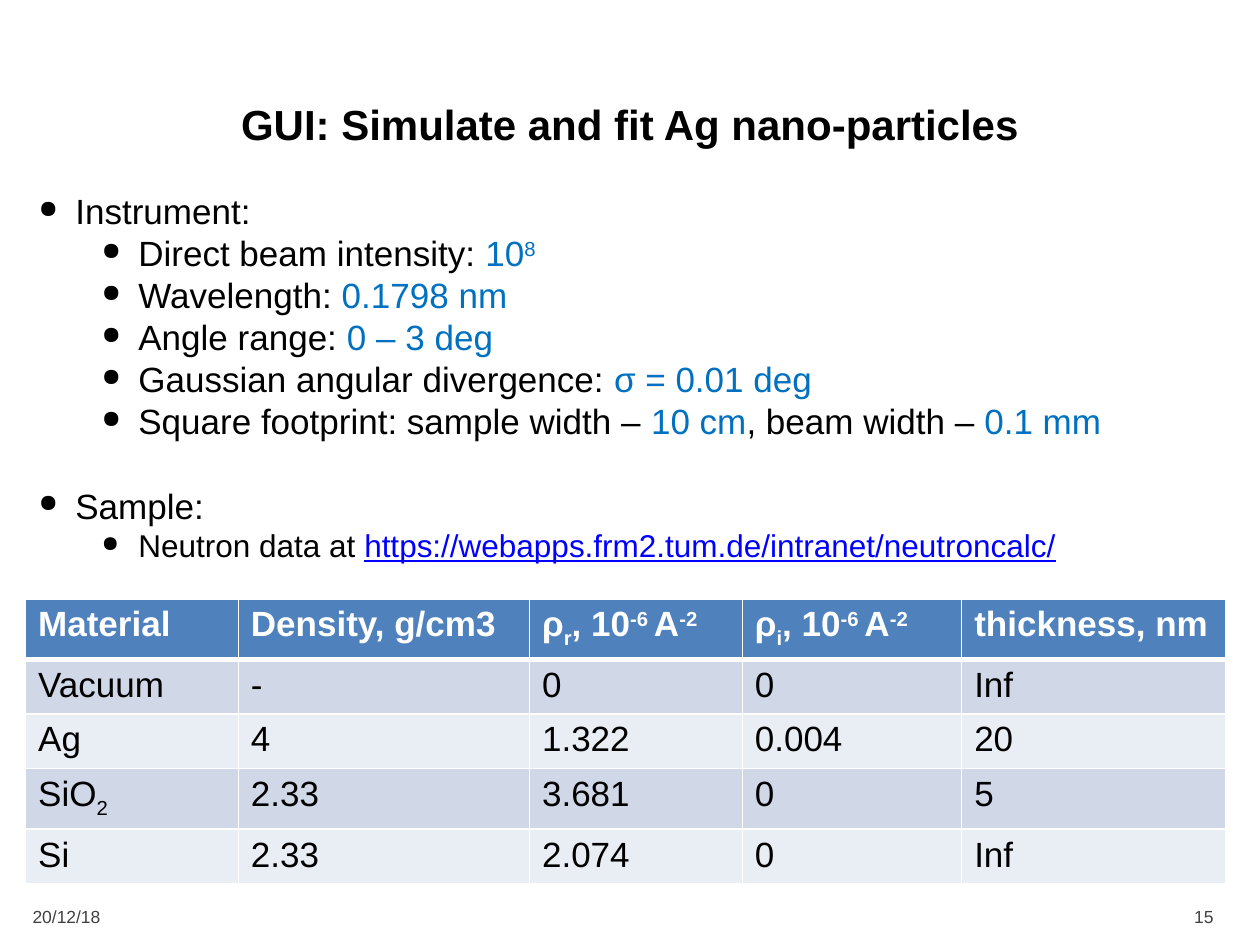
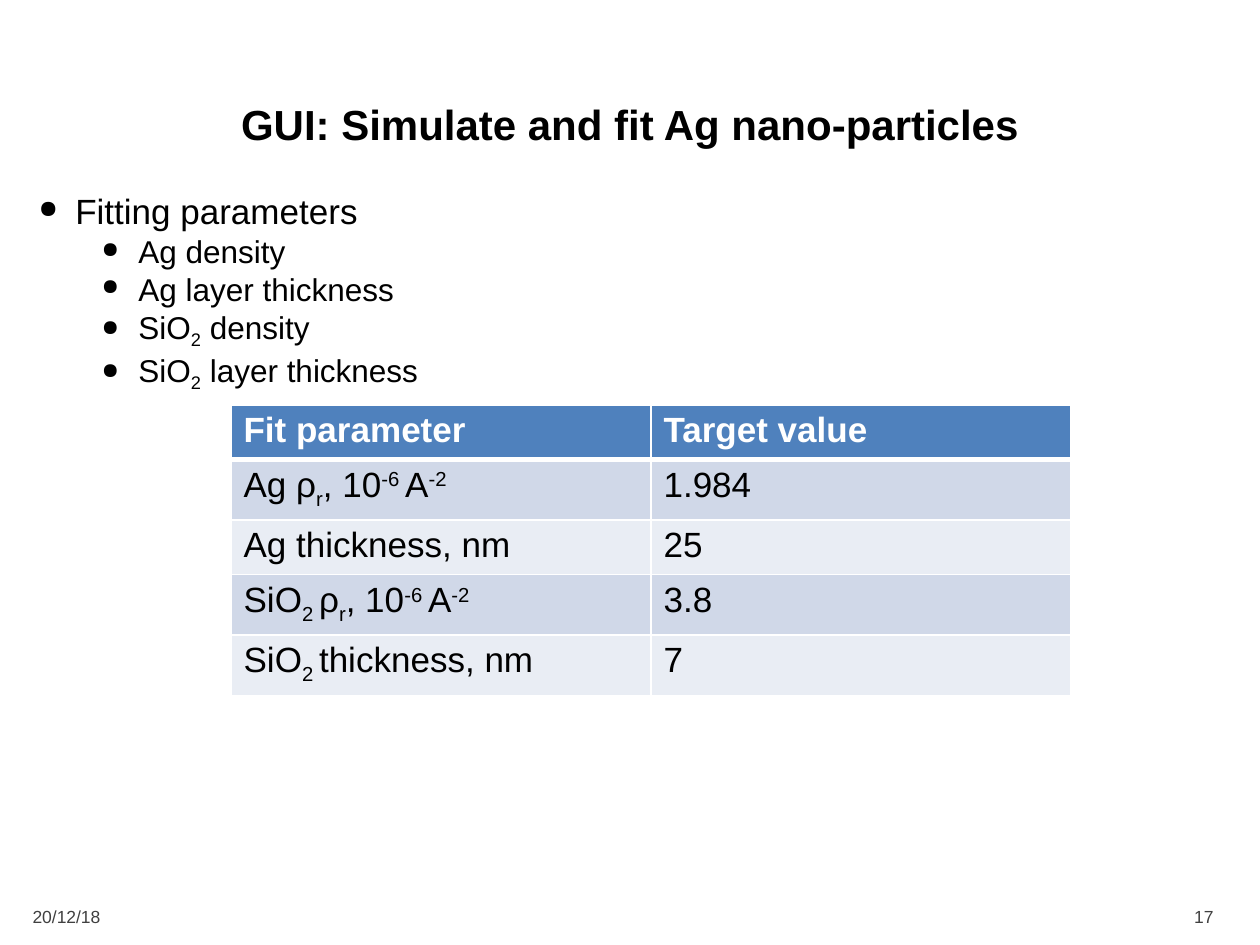
from lxml import etree
from pptx import Presentation
from pptx.dml.color import RGBColor
from pptx.enum.text import MSO_ANCHOR, PP_ALIGN
from pptx.oxml.ns import qn
from pptx.util import Pt

LEFT, CENTER, RIGHT = PP_ALIGN.LEFT, PP_ALIGN.CENTER, PP_ALIGN.RIGHT
TOP, MIDDLE = MSO_ANCHOR.TOP, MSO_ANCHOR.MIDDLE

THEME = {
    "font": "Arial",
    "text": "000000", "value": "0070C0", "link": "0000FF", "footer": "404040",
    "white": "FFFFFF", "header": "4F81BD", "bands": ("D0D8E8", "E9EDF4"),
    "title_size": 24, "body_size": 20, "detail_size": 18, "footer_size": 10,
}
BASELINES = {"^": "30000", "_": "-25000"}
RUN_COLORS = {"*": "value", "@": "link"}
TITLE = "GUI: Simulate and fit Ag nano-particles"
DATE = "20/12/18"
ROW_HEIGHT = 29.5
BULLET_INDENT = 21
GROUP_GAP = 24

# Text marks: "|" parts runs; a leading ^ raises, _ lowers, * marks a value, @ a link.
# Bullets are (level, size, text); a table has left, top, column widths and rows.
SLIDES = [
    {
        "number": "15",
        "body_height": 237.6,
        "bullets": [
            (0, "body_size", "Instrument:"),
            (1, "body_size", "Direct beam intensity: |*10|*^8"),
            (1, "body_size", "Wavelength: |*0.1798 nm"),
            (1, "body_size", "Angle range: |*0 – 3 deg"),
            (1, "body_size", "Gaussian angular divergence: |*σ = 0.01 deg"),
            (1, "body_size", "Square footprint: sample width – |*10 cm|, beam width – |*0.1 mm"),
            (0, "body_size", "Sample:"),
            (1, "detail_size", "Neutron data at |@https://webapps.frm2.tum.de/intranet/neutroncalc/"),
        ],
        "table": (14.6, 342.2, (121.6, 166.4, 121.6, 125.4, 151), [
            ("Material", "Density, g/cm3", "ρ|_r|, 10|^-6 |A|^-2",
             "ρ|_i|, 10|^-6 |A|^-2", "thickness, nm"),
            ("Vacuum", "-", "0", "0", "Inf"),
            ("Ag", "4", "1.322", "0.004", "20"),
            ("SiO|_2", "2.33", "3.681", "0", "5"),
            ("Si", "2.33", "2.074", "0", "Inf"),
        ]),
    },
    {
        "number": "17",
        "body_height": 126,
        "bullets": [
            (0, "body_size", "Fitting parameters"),
            (1, "detail_size", "Ag density"),
            (1, "detail_size", "Ag layer thickness"),
            (1, "detail_size", "SiO|_2| density"),
            (1, "detail_size", "SiO|_2| layer thickness"),
        ],
        "table": (132, 231.3, (240, 240), [
            ("Fit parameter", "Target value"),
            ("Ag ρ|_r|, 10|^-6 |A|^-2", "1.984"),
            ("Ag thickness, nm", "25"),
            ("SiO|_2 |ρ|_r|, 10|^-6 |A|^-2", "3.8"),
            ("SiO|_2 |thickness, nm", "7"),
        ]),
    },
]


def write(paragraph, text, size, color="text", bold=False, align=LEFT):
    """Fill a paragraph with marked text in one base style."""
    paragraph.alignment = align
    font = paragraph.font
    font.name, font.size, font.bold = THEME["font"], Pt(THEME[size]), bold
    font.color.rgb = RGBColor.from_string(THEME[color])
    for piece in text.split("|"):
        content = piece.lstrip("^_*@")
        run = paragraph.add_run()
        run.text = content
        for mark in piece[:len(piece) - len(content)]:
            if mark in BASELINES:
                run._r.get_or_add_rPr().set("baseline", BASELINES[mark])
            else:
                run.font.color.rgb = RGBColor.from_string(THEME[RUN_COLORS[mark]])
                if mark == "@":
                    run.font.underline = True


def add_text_frame(slide, left, top, width, height, anchor=TOP):
    """Add a wrapping text box and return its text frame."""
    box = slide.shapes.add_textbox(Pt(left), Pt(top), Pt(width), Pt(height))
    box.text_frame.word_wrap = True
    box.text_frame.vertical_anchor = anchor
    return box.text_frame


presentation = Presentation()
presentation.slide_width, presentation.slide_height = Pt(720), Pt(540)

for content in SLIDES:
    slide = presentation.slides.add_slide(presentation.slide_layouts[6])

    # Title
    title = add_text_frame(slide, 15, 52.6, 690, 46.8)
    write(title.paragraphs[0], TITLE, "title_size", bold=True, align=CENTER)

    # Bullets
    body = add_text_frame(slide, 15, 105, 689, content["body_height"])
    for index, (level, size, text) in enumerate(content["bullets"]):
        paragraph = body.paragraphs[0] if index == 0 else body.add_paragraph()
        paragraph.level = level
        if index and level == 0:
            paragraph.space_before = Pt(GROUP_GAP)
        write(paragraph, text, size)
        properties = paragraph._p.get_or_add_pPr()
        properties.set("marL", str(Pt(BULLET_INDENT + 36 * level)))
        properties.set("indent", str(-Pt(BULLET_INDENT)))
        bullet_color = etree.Element(qn("a:buClr"))
        etree.SubElement(bullet_color, qn("a:srgbClr"), val=THEME["text"])
        default_font = properties.find(qn("a:defRPr"))
        for element in (bullet_color,
                        etree.Element(qn("a:buSzPct"), val="70000"),
                        etree.Element(qn("a:buChar"), char="●")):
            default_font.addprevious(element)

    # Footer: date and slide number
    date = add_text_frame(slide, 11.5, 512, 74, 23.8, MIDDLE)
    write(date.paragraphs[0], DATE, "footer_size", "footer")
    number = add_text_frame(slide, 642.2, 512, 58.3, 23.8, MIDDLE)
    write(number.paragraphs[0], content["number"], "footer_size", "footer", align=RIGHT)

    # Table
    left, top, widths, rows = content["table"]
    table = slide.shapes.add_table(
        len(rows), len(widths), Pt(left), Pt(top),
        Pt(sum(widths)), Pt(ROW_HEIGHT * len(rows))).table
    for column, width in zip(table.columns, widths):
        column.width = Pt(width)
    for row_index, row in enumerate(rows):
        table.rows[row_index].height = Pt(ROW_HEIGHT)
        is_header = row_index == 0
        fill = THEME["header"] if is_header else THEME["bands"][(row_index - 1) % 2]
        for column_index, text in enumerate(row):
            cell = table.cell(row_index, column_index)
            write(cell.text_frame.paragraphs[0], text, "body_size",
                  "white" if is_header else "text", bold=is_header)
            # Borders, with a heavy rule under the header
            cell_properties = cell._tc.get_or_add_tcPr()
            for side in ("lnL", "lnR", "lnT", "lnB"):
                heavy = (row_index, side) in ((0, "lnB"), (1, "lnT"))
                line = etree.SubElement(cell_properties, qn("a:" + side),
                                        w=str(Pt(3 if heavy else 1)))
                line_fill = etree.SubElement(line, qn("a:solidFill"))
                etree.SubElement(line_fill, qn("a:srgbClr"), val=THEME["white"])
            cell.fill.solid()
            cell.fill.fore_color.rgb = RGBColor.from_string(fill)

presentation.save("out.pptx")
